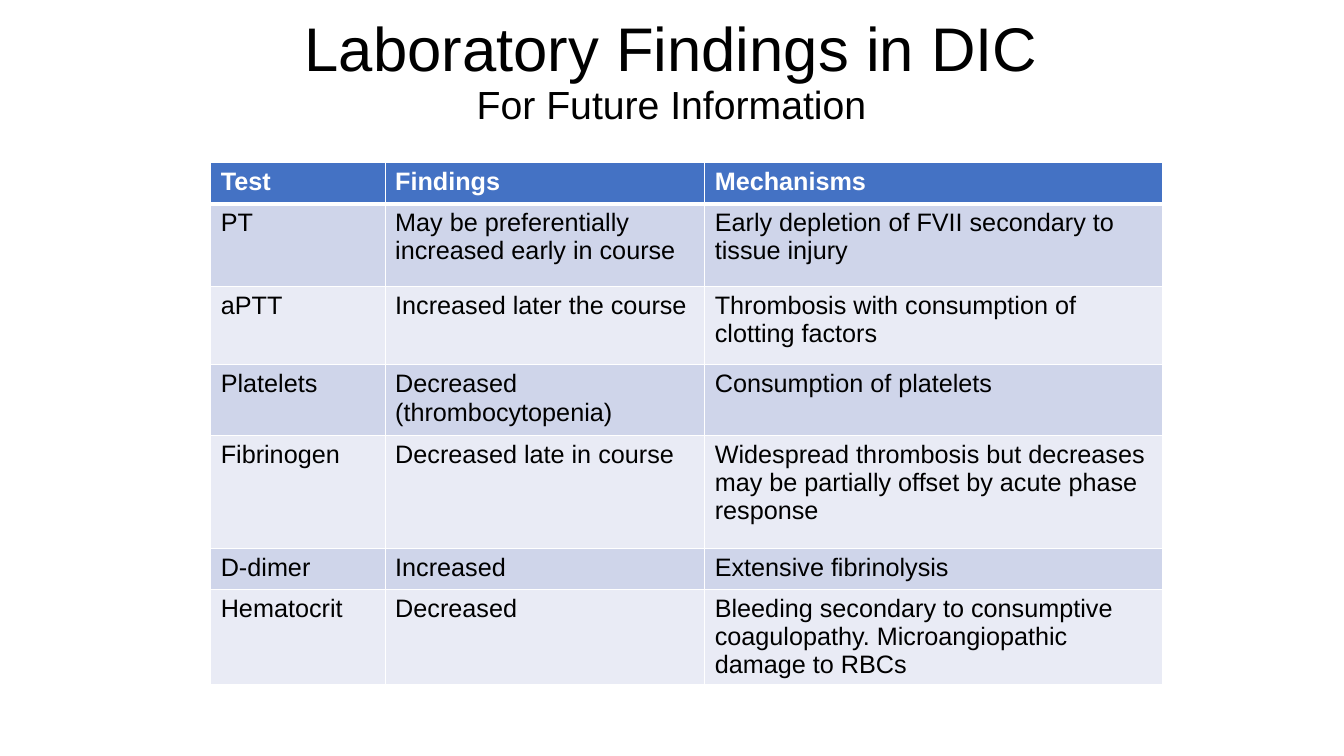
"""Build the slide of laboratory findings in DIC."""
import dataclasses

import lxml.etree
import pptx
import pptx.dml.color
import pptx.enum.text
import pptx.oxml.ns
import pptx.slide
import pptx.table
import pptx.text.text
import pptx.util

FONT = "Arial"
WHITE, BLACK = "FFFFFF", "000000"
HEADER_FILL = "4472C4"
BAND_FILLS = ("E9EBF5", "CFD5EA")
GRID = 100
SLIDE_W, SLIDE_H = pptx.util.Inches(13.33), pptx.util.Inches(7.5)
TABLE_LEFT, TABLE_TOP = 15.68, 21.47
COL_WIDTHS = (12.98, 23.78, 34.06)


@dataclasses.dataclass(frozen=True)
class Finding:
    """A table row, with its height in grid rows."""

    test: str
    result: str
    mechanism: str
    height: float


FINDINGS = (
    Finding("Test", "Findings", "Mechanisms", 5.47),
    Finding("PT", "May be preferentially increased early in course",
            "Early depletion of FVII secondary to tissue injury", 10.93),
    Finding("aPTT", "Increased later the course",
            "Thrombosis with consumption of clotting factors", 10.4),
    Finding("Platelets", "Decreased (thrombocytopenia)",
            "Consumption of platelets", 9.33),
    Finding("Fibrinogen", "Decreased late in course",
            "Widespread thrombosis but decreases may be partially offset "
            "by acute phase response", 14.93),
    Finding("D-dimer", "Increased", "Extensive fibrinolysis", 5.47),
    Finding("Hematocrit", "Decreased",
            "Bleeding secondary to consumptive coagulopathy. "
            "Microangiopathic damage to RBCs", 12.53),
)


def grid_x(columns: float) -> int:
    """Convert grid columns to a length."""
    return round(SLIDE_W * columns / GRID)


def grid_y(rows: float) -> int:
    """Convert grid rows to a length."""
    return round(SLIDE_H * rows / GRID)


def rgb(value: str) -> pptx.dml.color.RGBColor:
    """Convert a hex string to a colour."""
    return pptx.dml.color.RGBColor.from_string(value)


def add_run(p: pptx.text.text._Paragraph, text: str, size: float,
            color: str, bold: bool = False) -> None:
    """Add one formatted run to a paragraph."""
    r = p.add_run()
    r.text = text
    r.font.name = FONT
    r.font.size = pptx.util.Pt(size)
    r.font.bold = bold
    r.font.color.rgb = rgb(color)


def add_border(cell: pptx.table._Cell, side: str, width: float) -> None:
    """Add a white border to one side of a cell."""
    qn = pptx.oxml.ns.qn
    ln = lxml.etree.SubElement(cell._tc.get_or_add_tcPr(), qn(f"a:ln{side}"),
                               w=str(pptx.util.Pt(width)))
    fill = lxml.etree.SubElement(ln, qn("a:solidFill"))
    lxml.etree.SubElement(fill, qn("a:srgbClr"), val=WHITE)


def add_title(s: pptx.slide.Slide) -> None:
    """Place and fill the title with its second line."""
    sp = s.shapes.title
    sp.left, sp.top = grid_x(17.63), 0
    sp.width, sp.height = grid_x(64.67), grid_y(19.33)
    tf = sp.text_frame
    tf.word_wrap = True
    tf.auto_size = pptx.enum.text.MSO_AUTO_SIZE.NONE
    tf.vertical_anchor = pptx.enum.text.MSO_ANCHOR.MIDDLE
    p = tf.paragraphs[0]
    p.alignment = pptx.enum.text.PP_ALIGN.CENTER
    p.line_spacing = 0.9
    add_run(p, "Laboratory Findings in DIC", 44, BLACK)
    p.add_line_break()
    add_run(p, "For Future Information", 28, BLACK)


def fill_cell(cell: pptx.table._Cell, text: str, row: int) -> None:
    """Write and format a cell by its row number."""
    header = row == 0
    widths = {"L": 1, "R": 1, "T": 3 if row == 1 else 1, "B": 3 if header else 1}
    for side, width in widths.items():
        add_border(cell, side, width)
    cell.fill.solid()
    cell.fill.fore_color.rgb = rgb(HEADER_FILL if header else BAND_FILLS[row % 2])
    p = cell.text_frame.paragraphs[0]
    add_run(p, text, 18, WHITE if header else BLACK, header)


def add_findings(s: pptx.slide.Slide) -> None:
    """Add the table of findings."""
    height = sum(finding.height for finding in FINDINGS)
    table = s.shapes.add_table(
        len(FINDINGS), len(COL_WIDTHS), grid_x(TABLE_LEFT), grid_y(TABLE_TOP),
        grid_x(sum(COL_WIDTHS)), grid_y(height)).table
    for column, width in zip(table.columns, COL_WIDTHS):
        column.width = grid_x(width)
    for i, finding in enumerate(FINDINGS):
        table.rows[i].height = grid_y(finding.height)
        texts = (finding.test, finding.result, finding.mechanism)
        for cell, text in zip(table.rows[i].cells, texts):
            fill_cell(cell, text, i)


def main() -> None:
    """Build and save the presentation."""
    prs = pptx.Presentation()
    prs.slide_width, prs.slide_height = SLIDE_W, SLIDE_H
    s = prs.slides.add_slide(prs.slide_layouts.get_by_name("Title Only"))
    add_title(s)
    add_findings(s)
    prs.save("out.pptx")


if __name__ == "__main__":
    main()
